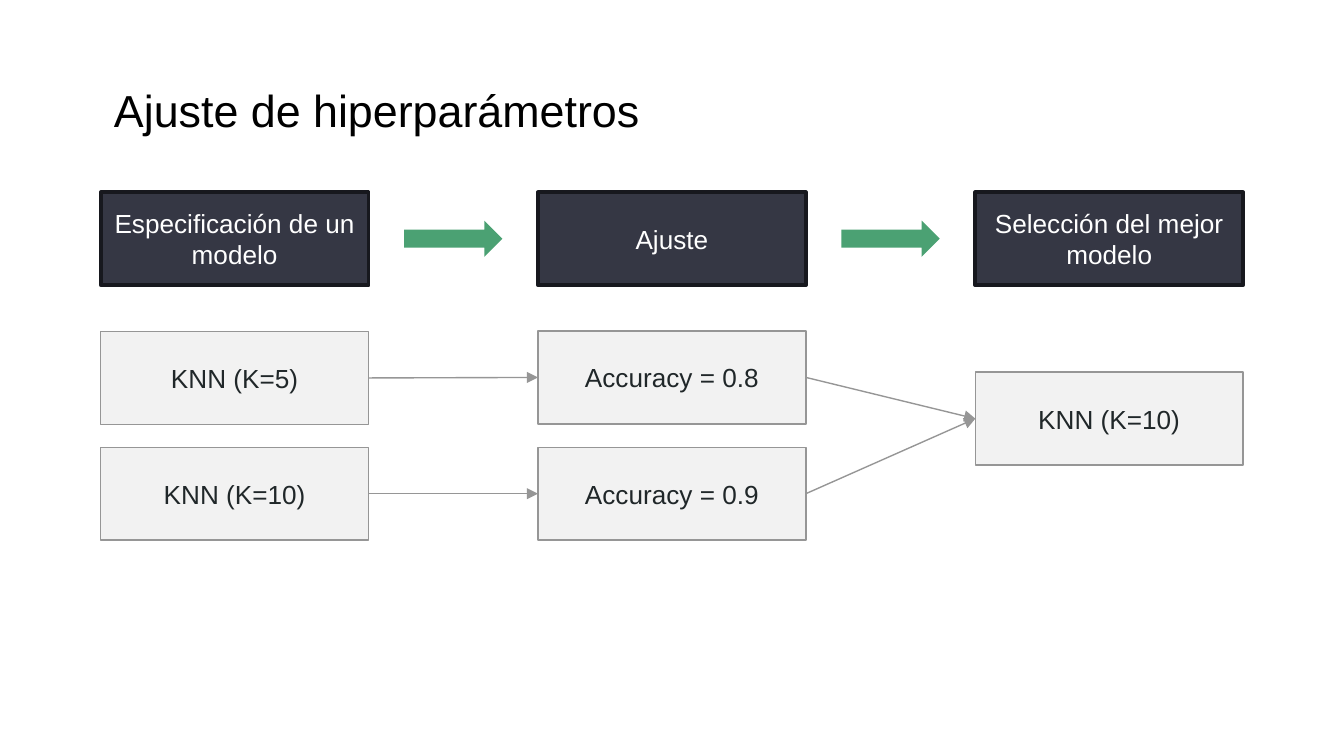
from pptx import Presentation
from pptx.dml.color import RGBColor
from pptx.enum import shapes, text
from pptx.oxml import ns
from pptx.util import Pt
from lxml import etree

TITLE = "Ajuste de hiperparámetros"
STAGES = ["Especificación de un modelo", "Ajuste", "Selección del mejor modelo"]
STEPS = {
    "model_5": ("KNN (K=5)", 0, 177.6),
    "model_10": ("KNN (K=10)", 0, 239.6),
    "score_5": ("Accuracy = 0.8", 1, 177.3),
    "score_10": ("Accuracy = 0.9", 1, 239.6),
    "best": ("KNN (K=10)", 2, 199.4),
}
LINKS = [("model_5", "score_5"), ("model_10", "score_10"),
         ("score_5", "best"), ("score_10", "best")]
COLORS = {"title": "000000", "stage": "353744", "stage_line": "17181E", "stage_text": "FFFFFF",
          "step": "F2F2F2", "step_line": "969696", "step_text": "202729", "arrow": "4BA173"}
FONT = "Arial"
LEFT, PITCH, STAGE_TOP = 54, 234.25, 103
BOX_W, BOX_H = 143.5, 49.8
ARROW_W, ARROW_H = 52.6, 19.4


def color(name):
    return RGBColor.from_string(COLORS[name])


def style_text(para, size, name):
    para.font.name = FONT
    para.font.size = Pt(size)
    para.font.color.rgb = color(name)


def add_shape(kind, left, top, width, height, fill):
    shape = page.shapes.add_shape(kind, Pt(left), Pt(top), Pt(width), Pt(height))
    shape.shadow.inherit = False
    shape.fill.solid()
    shape.fill.fore_color.rgb = color(fill)
    return shape


def add_box(label, column, top, role, line_width):
    box = add_shape(shapes.MSO_SHAPE.RECTANGLE, LEFT + column * PITCH, top, BOX_W, BOX_H, role)
    box.line.color.rgb = color(role + "_line")
    box.line.width = Pt(line_width)
    frame = box.text_frame
    frame.word_wrap = True
    frame.vertical_anchor = text.MSO_ANCHOR.MIDDLE
    para = frame.paragraphs[0]
    para.text = label
    para.alignment = text.PP_ALIGN.CENTER
    style_text(para, 14, role + "_text")
    return box


def add_link(start, end):
    link = page.shapes.add_connector(shapes.MSO_CONNECTOR.STRAIGHT, 0, 0, 0, 0)
    link.begin_connect(start, 3)
    link.end_connect(end, 1)
    link.line.color.rgb = color("step_line")
    link.line.width = Pt(0.75)
    etree.SubElement(link.line._get_or_add_ln(), ns.qn("a:tailEnd"), type="triangle")
    etree.SubElement(link._element.spPr, ns.qn("a:effectLst"))


deck = Presentation()
deck.slide_width, deck.slide_height = Pt(720), Pt(405)
page = deck.slides.add_slide(deck.slide_layouts[6])

for column, label in enumerate(STAGES):
    add_box(label, column, STAGE_TOP, "stage", 2)
boxes = {key: add_box(*step, "step", 0.75) for key, step in STEPS.items()}
for start, end in LINKS:
    add_link(boxes[start], boxes[end])

for gap in range(len(STAGES) - 1):
    arrow_left = LEFT + gap * PITCH + BOX_W + (PITCH - BOX_W - ARROW_W) / 2
    arrow_top = STAGE_TOP + (BOX_H - ARROW_H) / 2
    arrow = add_shape(shapes.MSO_SHAPE.RIGHT_ARROW, arrow_left, arrow_top,
                      ARROW_W, ARROW_H, "arrow")
    arrow.line.fill.background()

title = page.shapes.add_textbox(Pt(LEFT), Pt(41), Pt(360), Pt(36))
title.text_frame.word_wrap = True
title.text_frame.auto_size = text.MSO_AUTO_SIZE.SHAPE_TO_FIT_TEXT
heading = title.text_frame.paragraphs[0]
heading.text = TITLE
style_text(heading, 24, "title")

deck.save("out.pptx")
